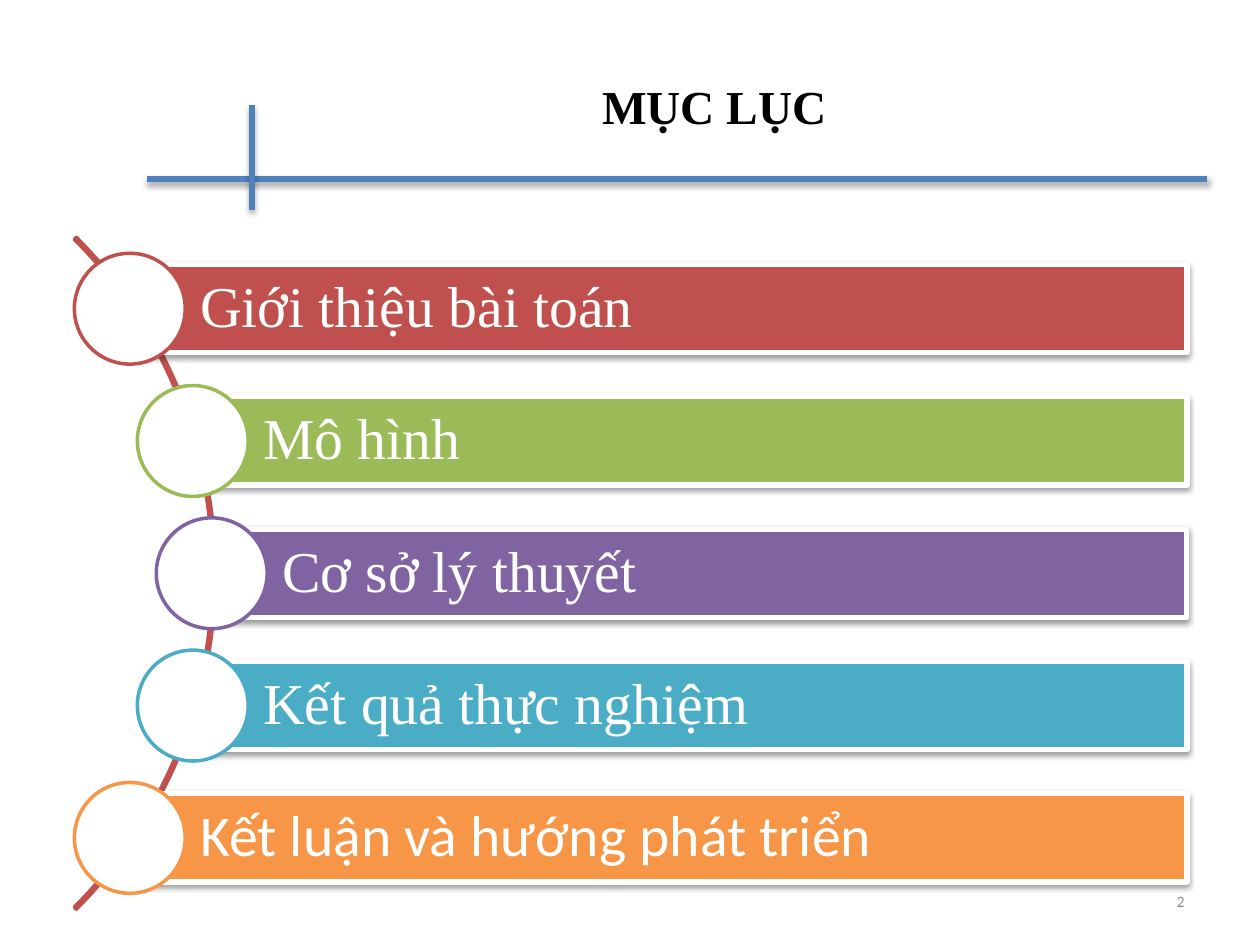
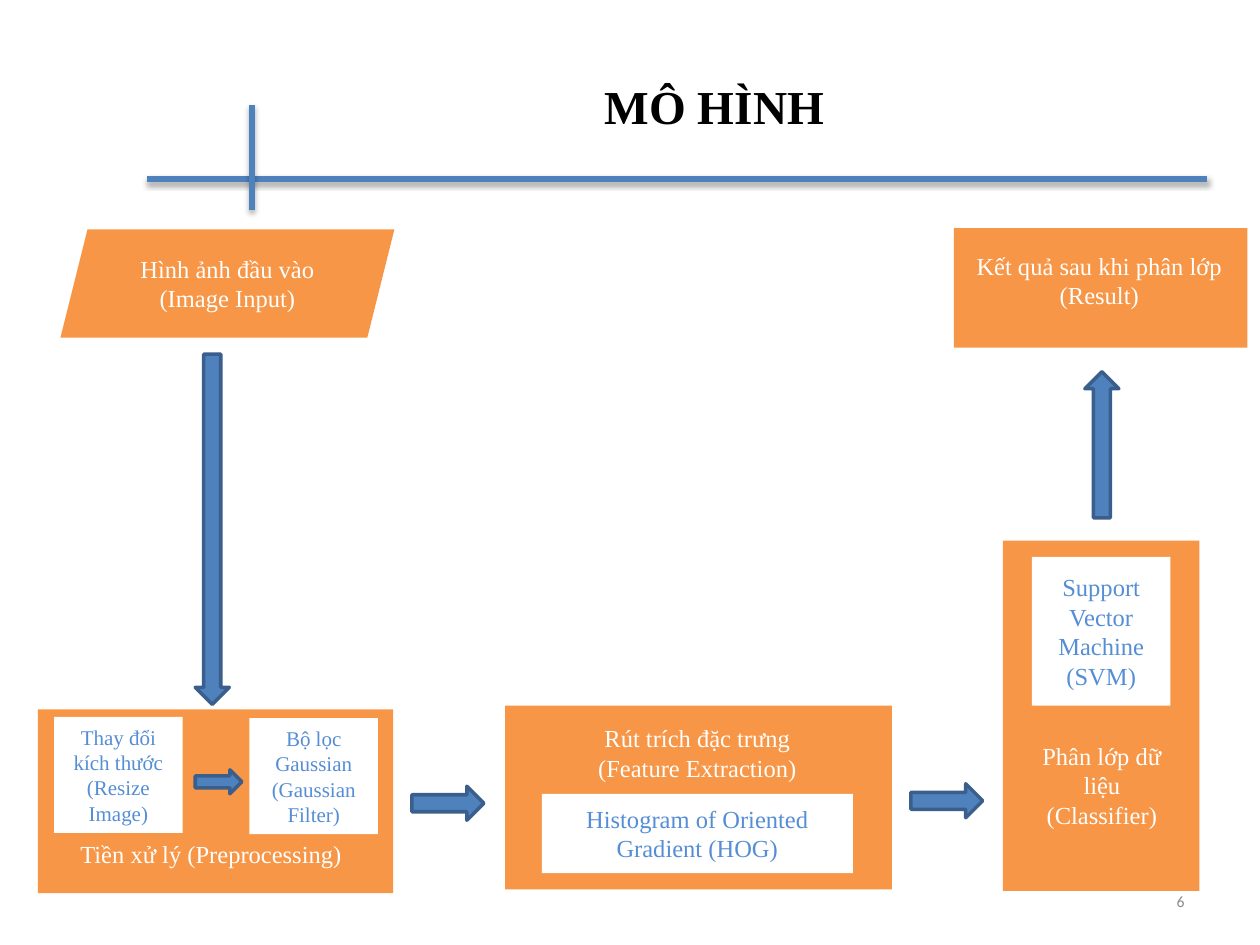
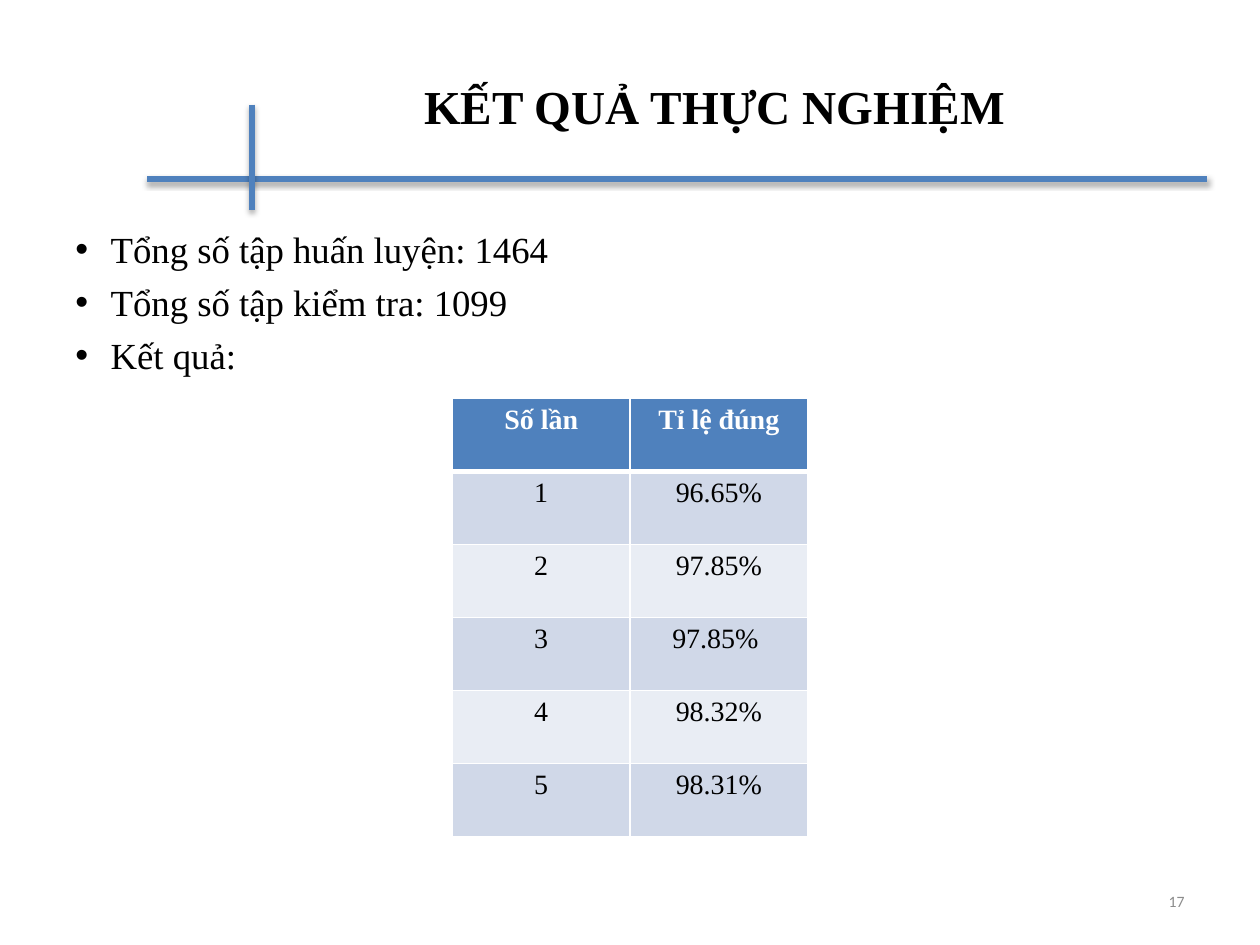
from lxml.etree import SubElement
from pptx import Presentation
from pptx.dml.color import RGBColor
from pptx.enum.shapes import MSO_CONNECTOR, MSO_SHAPE
from pptx.enum.text import MSO_ANCHOR, PP_ALIGN
from pptx.oxml.ns import qn
from pptx.util import Inches, Pt

SERIF, SANS = "Times New Roman", "Calibri"
WHITE, BLACK, GREY = "FFFFFF", "000000", "8C8C8C"
BLUE, DARK_BLUE, LIGHT_BLUE = "4F81BD", "3A5F8C", "558ED5"
RED, GREEN, PURPLE, TEAL, ORANGE = "C0504D", "9BBB59", "8064A2", "4BACC6", "F79646"
BAND_DARK, BAND_LIGHT = "D0D8E8", "E9EDF4"


def rgb(color):
    return RGBColor.from_string(color)


def inches(*lengths):
    return [Inches(n) for n in lengths]


def add_xml(parent, tag, **attrs):
    return SubElement(parent, qn(tag), {k: str(v) for k, v in attrs.items()})


def set_shadow(sp, alpha, dist):
    """Replace the theme shadow by a soft one that falls straight down."""
    effects = add_xml(sp._element.spPr, "a:effectLst")
    shadow = add_xml(effects, "a:outerShdw", blurRad=Pt(3.1), dist=Pt(dist),
                     dir=5400000, algn="t", rotWithShape=0)
    color = add_xml(shadow, "a:srgbClr", val=BLACK)
    add_xml(color, "a:alpha", val=alpha * 1000)


def set_text(tf, paragraphs, size, color, font=SERIF, bold=False,
             align=PP_ALIGN.CENTER, anchor=MSO_ANCHOR.MIDDLE):
    """Fill the frame; a newline inside a paragraph is a line break."""
    tf.word_wrap = True
    tf.vertical_anchor = anchor
    formats = {"size": Pt(size), "name": font, "bold": bold}
    for i, text in enumerate(paragraphs):
        p = tf.add_paragraph() if i else tf.paragraphs[0]
        p.text = text
        p.alignment = align
        for r in p.runs:
            for name, value in formats.items():
                setattr(r.font, name, value)
            r.font.color.rgb = rgb(color)


def add_text(s, box, paragraphs, size, color, **formats):
    sp = s.shapes.add_textbox(*inches(*box))
    set_text(sp.text_frame, paragraphs, size, color, **formats)
    return sp


def add_box(s, kind, box, fill=None, line=None, width=2, shadow=False):
    sp = s.shapes.add_shape(kind, *inches(*box))
    if fill:
        sp.fill.solid()
        sp.fill.fore_color.rgb = rgb(fill)
    else:
        sp.fill.background()
    if line:
        sp.line.color.rgb = rgb(line)
        sp.line.width = Pt(width)
    else:
        sp.line.fill.background()
    if shadow:
        set_shadow(sp, 38, 1.6)
    else:
        sp.shadow.inherit = False
    return sp


def add_slide(prs, title, number):
    s = prs.slides.add_slide(prs.slide_layouts[6])
    for ends in ((1.17, 1.42, 9.58, 1.42), (2, 0.83, 2, 1.67)):
        rule = s.shapes.add_connector(MSO_CONNECTOR.STRAIGHT, *inches(*ends))
        rule.line.color.rgb = rgb(BLUE)
        rule.line.width = Pt(3)
        set_shadow(rule, 35, 1.8)
    add_text(s, (1.17, 0.21, 9, 1.25), [title], 27, BLACK, bold=True)
    add_text(s, (7.17, 6.95, 2.33, 0.4), [str(number)], 9, GREY,
             font=SANS, align=PP_ALIGN.RIGHT)
    return s


def agenda(s, top, right, entries):
    """Bars whose discs sit on an arc around the middle bar."""
    pitch, height, disc, diameter = 1.05, 0.7, 0.88, 7.54
    middle = top + pitch * (len(entries) - 1) / 2 + height / 2
    arc = add_box(s, MSO_SHAPE.BLOCK_ARC,
                  (-5.83, middle - diameter / 2, diameter, diameter), line=RED)
    for i, value in enumerate((189, 27, 0.003)):
        arc.adjustments[i] = value
    for i, (left, text, color, font) in enumerate(entries):
        y = top + i * pitch
        bar = add_box(s, MSO_SHAPE.RECTANGLE, (left, y, right - left, height),
                      color, WHITE, 3, shadow=True)
        set_text(bar.text_frame, [text], 33, WHITE, font=font, align=PP_ALIGN.LEFT)
        bar.text_frame.margin_left = Inches(0.56)
        bar.text_frame.paragraphs[0].line_spacing = 0.9
        add_box(s, MSO_SHAPE.OVAL,
                (left - disc / 2, y + (height - disc) / 2, disc, disc), WHITE, color)


def stage(s, box, caption, caption_box, details=(), size=14):
    """Orange step; the caption and white details are placed from its corner."""
    def inside(part):
        x, y, w, h = part
        return box[0] + x, box[1] + y, w, h

    add_box(s, MSO_SHAPE.RECTANGLE, box, ORANGE)
    add_text(s, inside(caption_box), [caption], 14, WHITE, anchor=MSO_ANCHOR.TOP)
    for text, part in details:
        detail = add_box(s, MSO_SHAPE.RECTANGLE, inside(part), WHITE)
        set_text(detail.text_frame, [text], size, LIGHT_BLUE)


def flow_arrow(s, box, rotation=0):
    arrow = add_box(s, MSO_SHAPE.DOWN_ARROW, box, BLUE, DARK_BLUE)
    arrow.rotation = rotation


def model_flow(s):
    source = add_box(s, MSO_SHAPE.PARALLELOGRAM, (0.48, 1.82, 2.65, 0.86), ORANGE)
    set_text(source.text_frame, ["Hình ảnh đầu vào", "(Image Input)"], 14, WHITE)
    stage(s, (0.3, 5.63, 2.82, 1.46), "Tiền xử lý (Preprocessing)",
          (0.18, 0.98, 2.39, 0.34),
          [("Thay đổi kích thước (Resize Image)", (0.13, 0.06, 1.02, 0.92)),
           ("Bộ lọc Gaussian\n(Gaussian Filter)", (1.68, 0.07, 1.02, 0.92))], size=12)
    stage(s, (4.01, 5.6, 3.07, 1.46), "Rút trích đặc trưng\n(Feature Extraction)",
          (0.15, 0.09, 2.75, 0.57),
          [("Histogram of Oriented Gradient (HOG)", (0.29, 0.7, 2.47, 0.63))])
    stage(s, (7.96, 4.29, 1.56, 2.78), "Phân lớp dữ liệu (Classifier)",
          (0.16, 1.54, 1.25, 0.81),
          [("Support Vector Machine (SVM)", (0.23, 0.13, 1.1, 1.18))])
    stage(s, (7.57, 1.81, 2.33, 0.95), "Kết quả sau khi phân lớp (Result)",
          (0.07, 0.13, 2.17, 0.57))
    flow_arrow(s, (1.55, 2.81, 0.27, 2.78))
    flow_arrow(s, (8.61, 2.95, 0.27, 1.16), 180)
    for box in ((1.64, 6.02, 0.19, 0.37), (3.42, 6.09, 0.27, 0.57),
                (7.38, 6.07, 0.27, 0.57)):
        flow_arrow(s, box, 270)


def bullet_list(s, box, items):
    sp = add_text(s, box, items, 21, BLACK, align=PP_ALIGN.LEFT, anchor=MSO_ANCHOR.TOP)
    for p in sp.text_frame.paragraphs:
        p.space_before = Pt(5)
        pPr = p._p.get_or_add_pPr()
        pPr.set("marL", str(Inches(0.28)))
        pPr.set("indent", str(-Inches(0.28)))
        add_xml(pPr, "a:buFont", typeface="Arial")
        add_xml(pPr, "a:buChar", char="•")


def set_borders(cell, bottom):
    tcPr = cell._tc.get_or_add_tcPr()
    widths = {"a:lnL": 1, "a:lnR": 1, "a:lnT": 1, "a:lnB": bottom}
    for i, (tag, width) in enumerate(widths.items()):
        line = add_xml(tcPr, tag, w=Pt(width))
        add_xml(add_xml(line, "a:solidFill"), "a:srgbClr", val=WHITE)
        tcPr.insert(i, line)


def accuracy_table(s, left, top, rows):
    col_width, row_height = 1.41, 0.58
    table = s.shapes.add_table(len(rows), len(rows[0]), *inches(
        left, top, col_width * len(rows[0]), row_height * len(rows))).table
    for i, row in enumerate(rows):
        header = i == 0
        fill = BLUE if header else (BAND_LIGHT, BAND_DARK)[i % 2]
        for j, text in enumerate(row):
            cell = table.cell(i, j)
            cell.fill.solid()
            cell.fill.fore_color.rgb = rgb(fill)
            set_text(cell.text_frame, [text], 16, WHITE if header else BLACK, bold=header)
            cell.vertical_anchor = MSO_ANCHOR.TOP
            set_borders(cell, 3 if header else 1)


def main():
    prs = Presentation()
    prs.slide_width, prs.slide_height = inches(10, 7.5)

    agenda(add_slide(prs, "MỤC LỤC", 2), 2.1, 9.42, [
        (1.03, "Giới thiệu bài toán", RED, SERIF),
        (1.53, "Mô hình", GREEN, SERIF),
        (1.68, "Cơ sở lý thuyết", PURPLE, SERIF),
        (1.53, "Kết quả thực nghiệm", TEAL, SERIF),
        (1.03, "Kết luận và hướng phát triển", ORANGE, SANS),
    ])

    model_flow(add_slide(prs, "MÔ HÌNH", 6))

    s = add_slide(prs, "KẾT QUẢ THỰC NGHIỆM", 17)
    bullet_list(s, (0.5, 1.75, 9, 4.95), [
        "Tổng số tập huấn luyện: 1464", "Tổng số tập kiểm tra: 1099", "Kết quả:"])
    accuracy_table(s, 3.59, 3.16, [
        ("Số lần", "Tỉ lệ đúng"), ("1", "96.65%"), ("2", "97.85%"),
        ("3", "97.85% "), ("4", "98.32%"), ("5", "98.31%")])

    prs.save("out.pptx")


if __name__ == "__main__":
    main()
